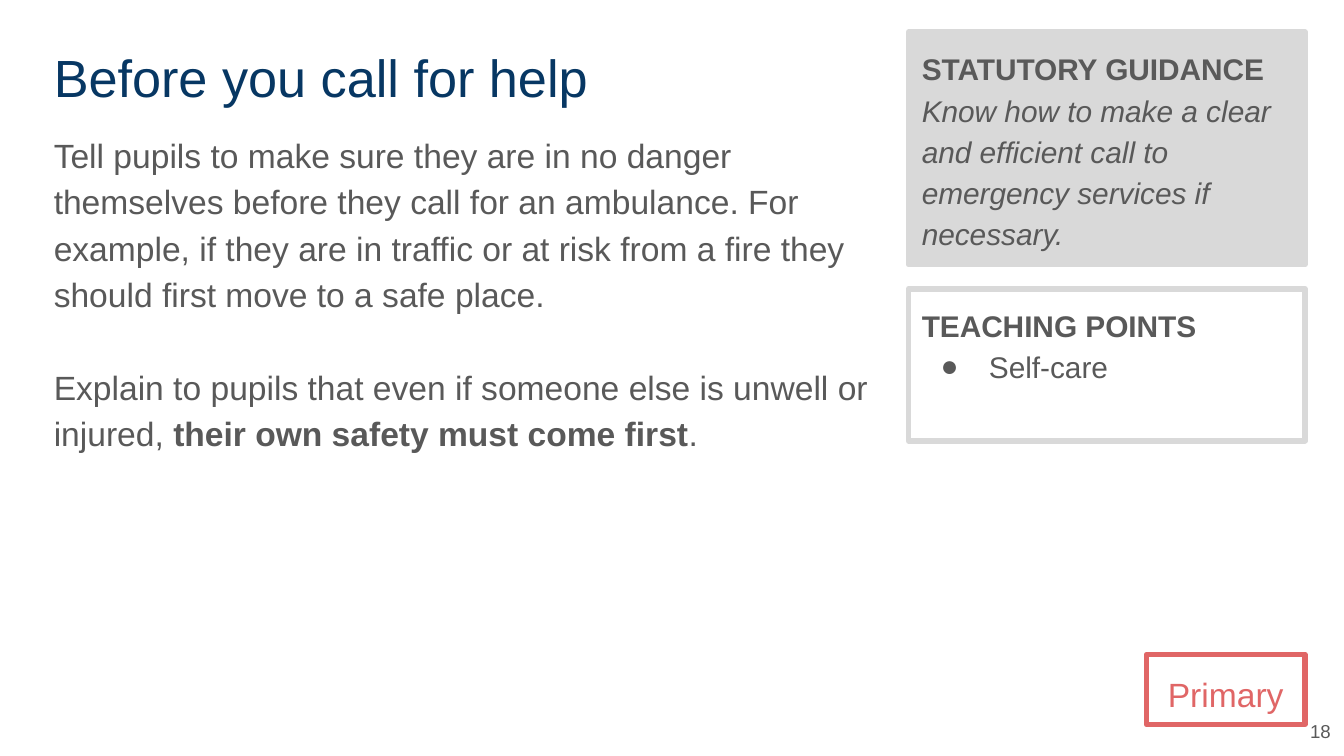
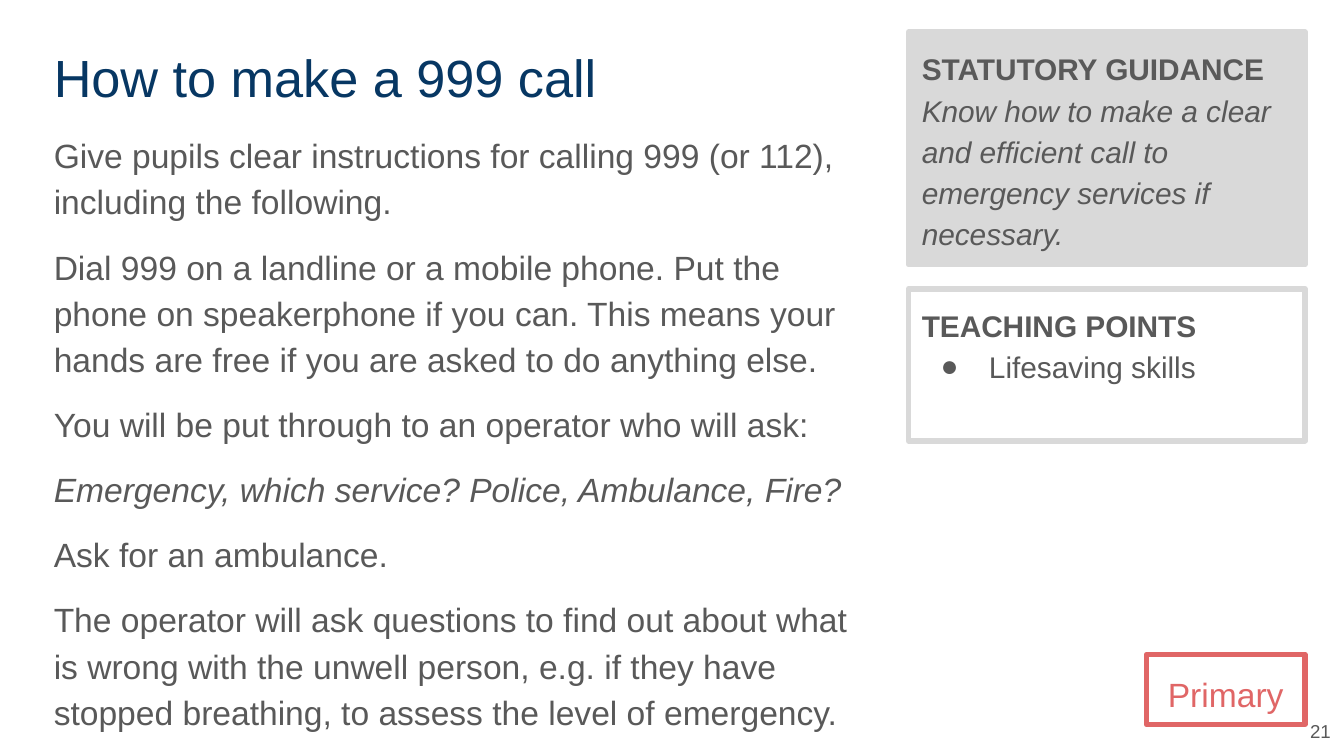
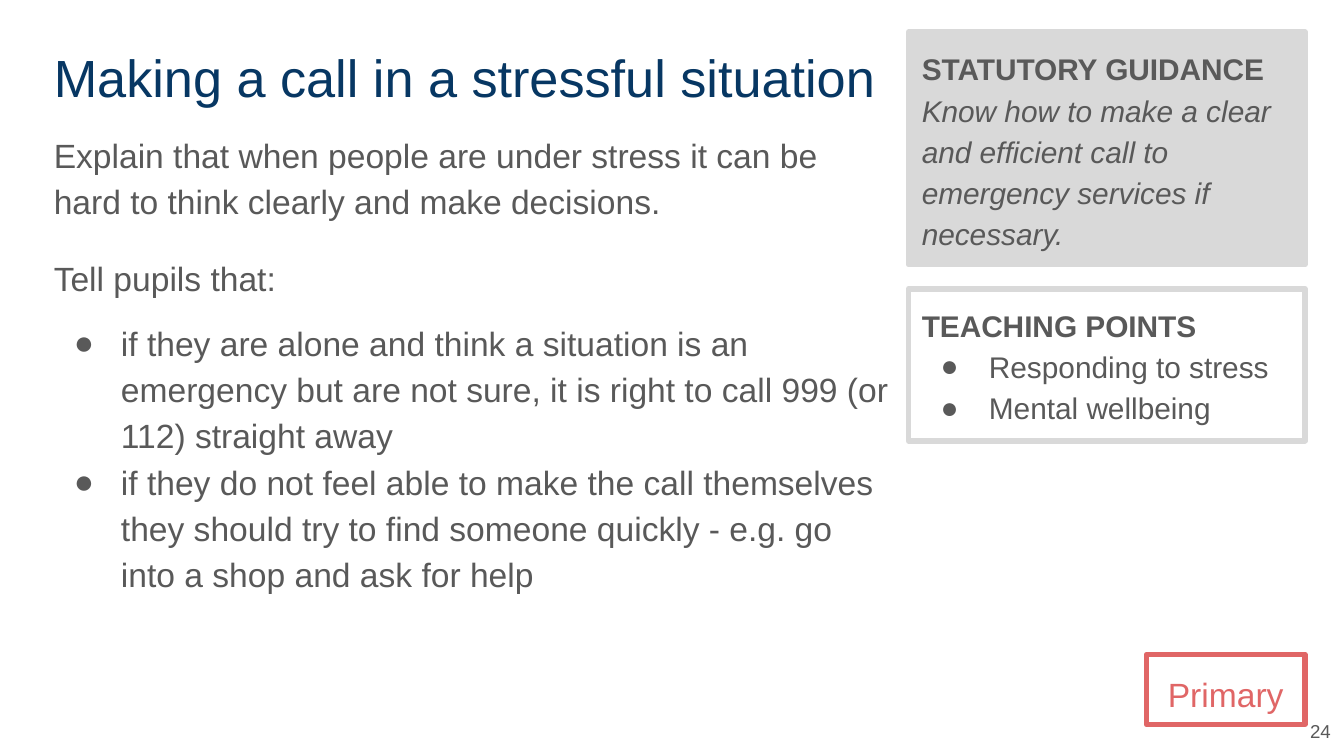
from copy import deepcopy
from dataclasses import dataclass

from lxml import etree
from pptx import Presentation
from pptx import util as u
from pptx.dml.color import RGBColor
from pptx.enum import shapes, text
from pptx.oxml import ns


@dataclass(frozen=True)
class Theme:
    font: str = "Arial"
    title: str = "073763"
    ink: str = "595959"
    panel: str = "D9D9D9"
    badge: str = "E06666"
    title_size: int = 28
    body_size: int = 18
    panel_size: int = 16
    number_size: int = 10
    leading: float = 1.15
    border: int = 3


THEME = Theme()


def line(*spans, before=0, hang=0):
    """One paragraph: spans are strings or (string, style) with style b or i."""
    pairs = [(s, "") if isinstance(s, str) else s for s in spans]
    return {"spans": pairs, "before": before, "hang": hang}


# Content
GUIDANCE = [line(
    ("STATUTORY GUIDANCE", "b"), "\n",
    ("Know how to make a clear and efficient call to emergency services "
     "if necessary.", "i"))]
POINTS_HEADING = "TEACHING POINTS"
STAGE = "Primary"

LESSONS = [
    {"title": "Before you call for help", "number": 18, "points": ["Self-care"],
     "body": [
         line("Tell pupils to make sure they are in no danger themselves before "
              "they call for an ambulance. For example, if they are in traffic or "
              "at risk from a fire they should first move to a safe place."),
         line("Explain to pupils that even if someone else is unwell or injured, ",
              ("their own safety must come first", "b"), ".", before=24.8)]},
    {"title": "How to make a 999 call", "number": 21, "points": ["Lifesaving skills"],
     "body": [
         line("Give pupils clear instructions for calling 999 (or 112), including "
              "the following."),
         line("Dial 999 on a landline or a mobile phone. Put the phone on "
              "speakerphone if you can. This means your hands are free if you are "
              "asked to do anything else.", before=10),
         line("You will be put through to an operator who will ask:", before=10),
         line(("Emergency, which service? Police, Ambulance, Fire?", "i"), before=10),
         line("Ask for an ambulance.", before=10),
         line("The operator will ask questions to find out about what is wrong with "
              "the unwell person, e.g. if they have stopped breathing, to assess "
              "the level of emergency.", before=10)]},
    {"title": "Making a call in a stressful situation", "number": 24,
     "points": ["Responding to stress", "Mental wellbeing"], "body_width": 6.43,
     "body": [
         line("Explain that when people are under stress it can be hard to think "
              "clearly and make decisions."),
         line("Tell pupils that:", before=16),
         line("if they are alone and think a situation is an emergency but are not "
              "sure, it is right to call 999 (or 112) straight away",
              before=10, hang=0.35),
         line("if they do not feel able to make the call themselves they should try "
              "to find someone quickly - e.g. go into a shop and ask for help",
              hang=0.35)]},
]

# Grid, in inches
WIDTH = 10
HEIGHT = WIDTH * 9 / 16
LEFT, TOP, RIGHT = 0.3, 0.24, 9.71
TITLE_W, TITLE_H = 6.41, 0.63
BODY_W, BODY_H = 6.32, 4.01
PANEL_W, GUIDANCE_H, POINTS_H, GAP = 2.95, 1.73, 1.13, 0.18
BADGE_W, BADGE_H = 1.18, 0.52
NUMBER_W, NUMBER_H = 0.39, 0.37
INSET, BULLET_INDENT = 0.1, 0.5
BODY_TOP = TOP + TITLE_H - 0.01
PANEL_X = RIGHT - PANEL_W


def set_all(target, values):
    for name, value in values.items():
        setattr(target, name, value)


def place(box, left, top, width, height):
    set_all(box, {"left": u.Inches(left), "top": u.Inches(top),
                  "width": u.Inches(width), "height": u.Inches(height)})


def add_bullet(para, hang):
    """Give the paragraph a round bullet, or none when it does not hang."""
    props = para._p.get_or_add_pPr()
    props.set("marL", str(u.Inches(BULLET_INDENT if hang else 0)))
    props.set("indent", str(-u.Inches(hang)))
    if not hang:
        etree.SubElement(props, ns.qn("a:buNone"))
        return
    color = etree.SubElement(props, ns.qn("a:buClr"))
    etree.SubElement(color, ns.qn("a:srgbClr"), val=THEME.ink)
    etree.SubElement(props, ns.qn("a:buFont"), typeface=THEME.font)
    etree.SubElement(props, ns.qn("a:buChar"), char="●")


def write(box, lines, size, color=THEME.ink, align=text.PP_ALIGN.LEFT,
          anchor=text.MSO_ANCHOR.TOP, leading=THEME.leading):
    frame = box.text_frame
    set_all(frame, {"word_wrap": True, "auto_size": text.MSO_AUTO_SIZE.NONE,
                    "vertical_anchor": anchor})
    set_all(frame, {f"margin_{side}": u.Inches(INSET)
                    for side in ("left", "right", "top", "bottom")})
    for index, item in enumerate(lines):
        para = frame.add_paragraph() if index else frame.paragraphs[0]
        add_bullet(para, item["hang"])
        set_all(para, {"alignment": align, "line_spacing": leading,
                       "space_before": u.Pt(item["before"]),
                       "space_after": u.Pt(0)})
        for words, style in item["spans"]:
            if words == "\n":
                # The break keeps the size of the words before it
                para.add_line_break()
                para._p[-1].append(deepcopy(span.font._rPr))
                continue
            span = para.add_run()
            span.text = words
            set_all(span.font, {"name": THEME.font, "size": u.Pt(size),
                                "bold": style == "b", "italic": style == "i"})
            span.font.color.rgb = RGBColor.from_string(color)


def add_panel(page, area, border, fill=None):
    """A rectangle with a thick, round-cornered outline."""
    panel = page.shapes.add_shape(shapes.MSO_SHAPE.RECTANGLE, 0, 0, 0, 0)
    place(panel, *area)
    panel.shadow.inherit = False
    if fill:
        panel.fill.solid()
        panel.fill.fore_color.rgb = RGBColor.from_string(fill)
    else:
        panel.fill.background()
    panel.line.color.rgb = RGBColor.from_string(border)
    panel.line.width = u.Pt(THEME.border)
    etree.SubElement(panel.line._get_or_add_ln(), ns.qn("a:round"))
    return panel


def add_lesson(deck, lesson):
    page = deck.slides.add_slide(deck.slide_layouts[1])

    # Title and main text
    title, body = page.placeholders
    place(title, LEFT, TOP, TITLE_W, TITLE_H)
    write(title, [line(lesson["title"])], THEME.title_size, THEME.title, leading=1.0)
    place(body, LEFT, BODY_TOP, lesson.get("body_width", BODY_W), BODY_H)
    write(body, lesson["body"], THEME.body_size)

    # Side panels
    guidance = add_panel(page, (PANEL_X, TOP, PANEL_W, GUIDANCE_H),
                         THEME.panel, THEME.panel)
    write(guidance, GUIDANCE, THEME.panel_size)
    points = add_panel(page, (PANEL_X, TOP + GUIDANCE_H + GAP, PANEL_W, POINTS_H),
                       THEME.panel)
    heading = line((POINTS_HEADING, "b"))
    write(points, [heading] + [line(point, hang=0.36) for point in lesson["points"]],
          THEME.panel_size)

    # Stage badge and page number
    badge = add_panel(page, (RIGHT - BADGE_W, BODY_TOP + BODY_H, BADGE_W, BADGE_H),
                      THEME.badge)
    write(badge, [line(STAGE)], THEME.body_size, THEME.badge, text.PP_ALIGN.CENTER)
    number = page.shapes.add_textbox(0, 0, 0, 0)
    place(number, WIDTH - NUMBER_W, HEIGHT - NUMBER_H, NUMBER_W, NUMBER_H)
    write(number, [line(str(lesson["number"]))], THEME.number_size,
          align=text.PP_ALIGN.RIGHT, anchor=text.MSO_ANCHOR.MIDDLE, leading=1.0)


def main():
    deck = Presentation()
    set_all(deck, {"slide_width": u.Inches(WIDTH), "slide_height": u.Inches(HEIGHT)})
    for lesson in LESSONS:
        add_lesson(deck, lesson)
    deck.save("out.pptx")


if __name__ == "__main__":
    main()
